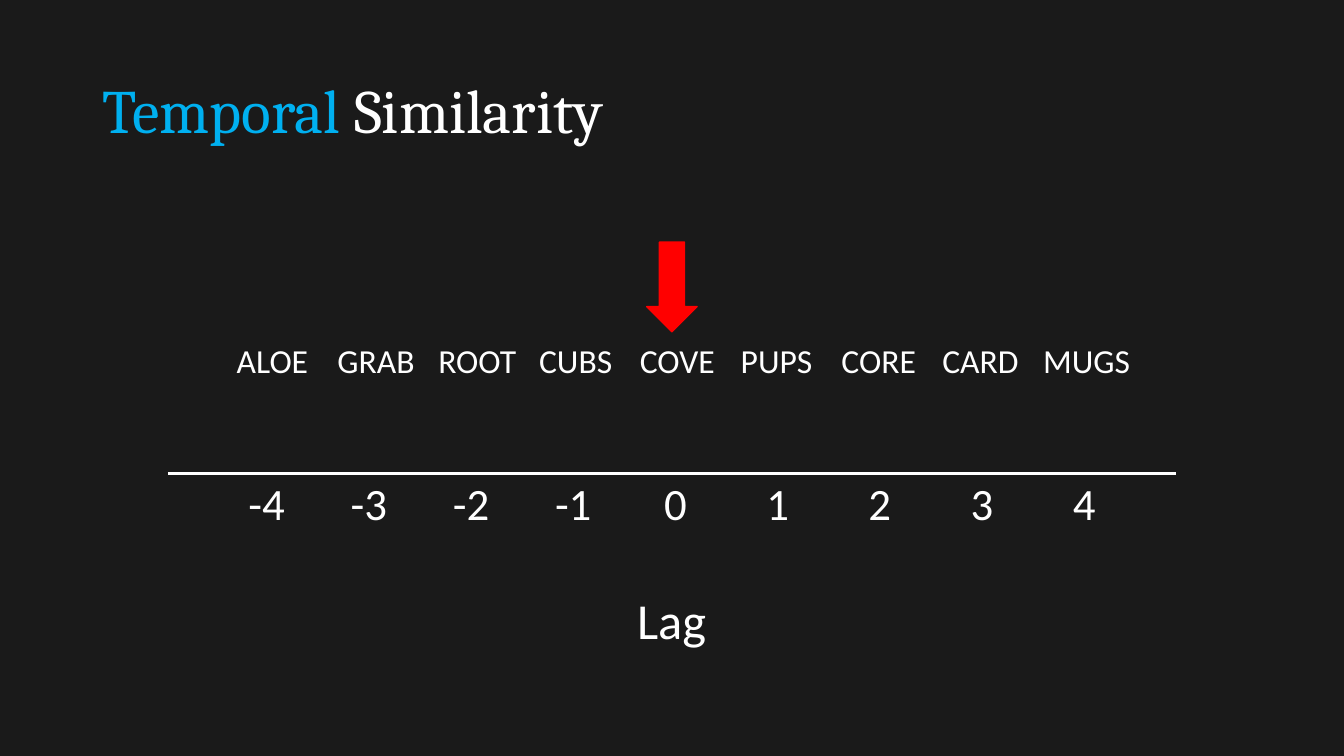
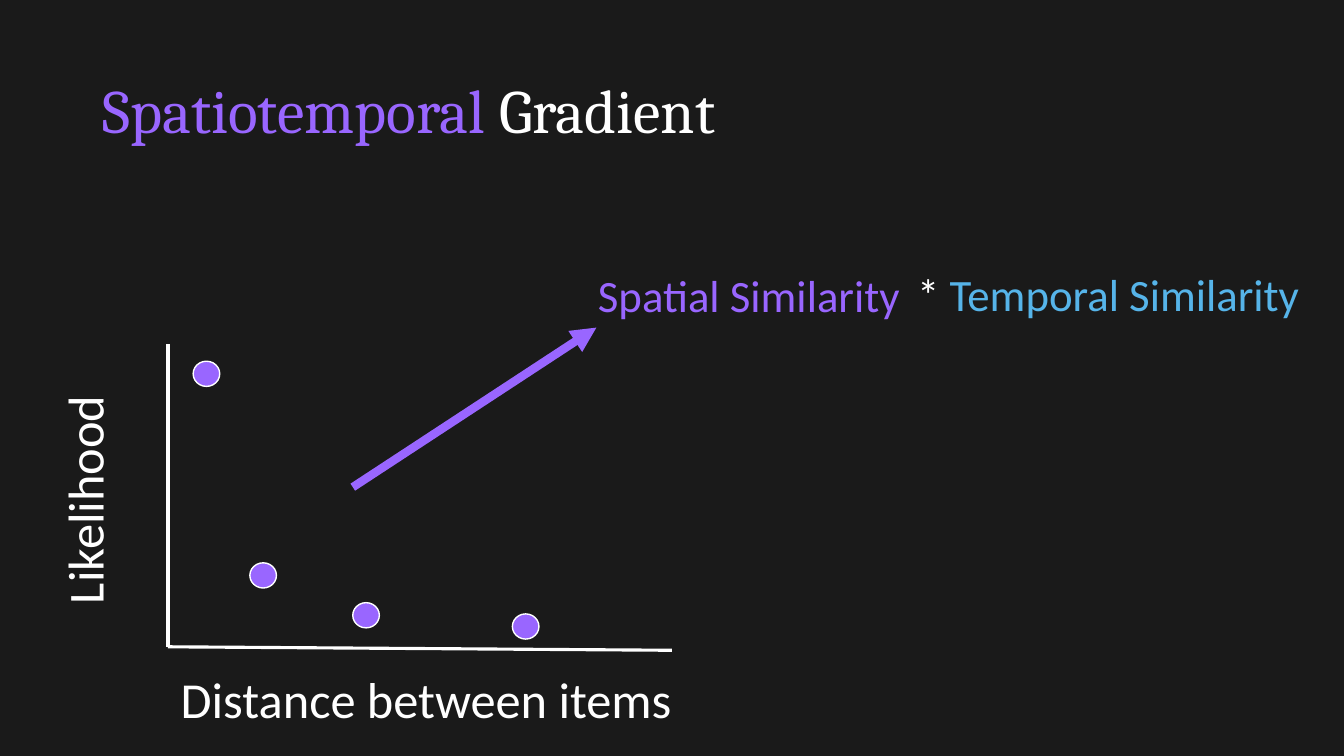
from pptx import Presentation
from pptx.dml.color import RGBColor
from pptx.enum.shapes import MSO_CONNECTOR, MSO_SHAPE
from pptx.enum.text import MSO_ANCHOR, PP_ALIGN
from pptx.oxml.ns import qn
from pptx.util import Pt
from lxml import etree

LEFT, CENTER = PP_ALIGN.LEFT, PP_ALIGN.CENTER
MIDDLE = MSO_ANCHOR.MIDDLE
STRAIGHT = MSO_CONNECTOR.STRAIGHT
DOWN_ARROW, OVAL = MSO_SHAPE.DOWN_ARROW, MSO_SHAPE.OVAL

DARK, WHITE, RED = "1A1A1A", "FFFFFF", "FF0000"
BLUE, SKY, PURPLE = "00B0F0", "56B4E9", "9966FF"
rgb = RGBColor.from_string


def add_text(s, x, y, w, h, size, runs, align=LEFT):
    tb = s.shapes.add_textbox(Pt(x), Pt(y), Pt(w), Pt(h))
    tb.text_frame.word_wrap = True
    p = tb.text_frame.paragraphs[0]
    p.alignment = align
    for text, color in runs:
        r = p.add_run()
        r.text = text
        r.font.size, r.font.name = Pt(size), "Calibri"
        r.font.color.rgb = rgb(color)
    return tb


def add_line(s, x1, y1, x2, y2, color=WHITE, width=2.25):
    line = s.shapes.add_connector(STRAIGHT, Pt(x1), Pt(y1), Pt(x2), Pt(y2))
    line.line.color.rgb = rgb(color)
    line.line.width = Pt(width)
    etree.SubElement(line._element.spPr, qn("a:effectLst"))
    return line


prs = Presentation()
prs.slide_width, prs.slide_height = Pt(960), Pt(540)

# Shared background and title position
fill = prs.slide_master.background.fill
fill.solid()
fill.fore_color.rgb = rgb(DARK)
layout = prs.slide_layouts[5]
title = layout.placeholders[0]
title.left, title.top, title.width, title.height = Pt(66), Pt(28.8), Pt(828), Pt(104.4)

# Slides with their two-colour titles
titles = [
    [("Temporal ", BLUE), ("Similarity", WHITE)],
    [("Spatiotemporal ", PURPLE), ("Gradient", WHITE)],
]
slides = []
for runs in titles:
    s = prs.slides.add_slide(layout)
    tf = s.shapes.title.text_frame
    tf.vertical_anchor = MIDDLE
    p = tf.paragraphs[0]
    p.alignment, p.line_spacing = LEFT, 0.9
    for text, color in runs:
        r = p.add_run()
        r.text = text
        r.font.size, r.font.name = Pt(44), "Cambria"
        r.font.color.rgb = rgb(color)
    slides.append(s)

# Slide 1: word list with lag axis
s = slides[0]
add_line(s, 120, 338.4, 840, 338.4)
for lag in range(-4, 5):
    add_text(s, 457.5 + 73 * lag, 336, 50, 46, 32, [(str(lag), WHITE)], CENTER)
add_text(s, 448, 417, 66, 51, 36, [("Lag", WHITE)])
words = "ALOE GRAB ROOT CUBS COVE PUPS CORE CARD MUGS".split()
add_text(s, 162, 239, 670, 36, 24, [("\t".join(words), WHITE)])

sp = s.shapes.add_shape(DOWN_ARROW, Pt(462), Pt(173), Pt(36), Pt(64))
sp.shadow.inherit = False
sp.fill.solid()
sp.fill.fore_color.rgb = rgb(RED)
sp.line.color.rgb = rgb(RED)
sp.line.width = Pt(1)

# Slide 2: axes and their labels
s = slides[1]
add_line(s, 120, 462, 480, 464.5)
add_line(s, 120, 462, 120, 246)
likelihood = add_text(s, -25, 331.5, 170, 51, 36, [("Likelihood", WHITE)], CENTER)
likelihood.rotation = 270
add_text(s, 122, 474, 380, 51, 36, [("Distance between items", WHITE)])

# Data points
for x, y in [(138, 258), (178.5, 402), (252, 430.5), (366, 438.5)]:
    sp = s.shapes.add_shape(OVAL, Pt(x), Pt(y), Pt(19), Pt(18))
    sp.shadow.inherit = False
    sp.fill.solid()
    sp.fill.fore_color.rgb = rgb(PURPLE)
    sp.line.color.rgb = rgb(WHITE)
    sp.line.width = Pt(1)

# Arrow to the formula
arrow = add_line(s, 252, 348, 426, 234, PURPLE, 6)
etree.SubElement(arrow.line._get_or_add_ln(), qn("a:tailEnd"), type="triangle")
add_text(s, 420, 188, 240, 46, 32, [("Spatial Similarity", PURPLE)])
add_text(s, 648, 187, 300, 46, 32, [("* ", WHITE), ("Temporal Similarity", SKY)])

prs.save("out.pptx")
